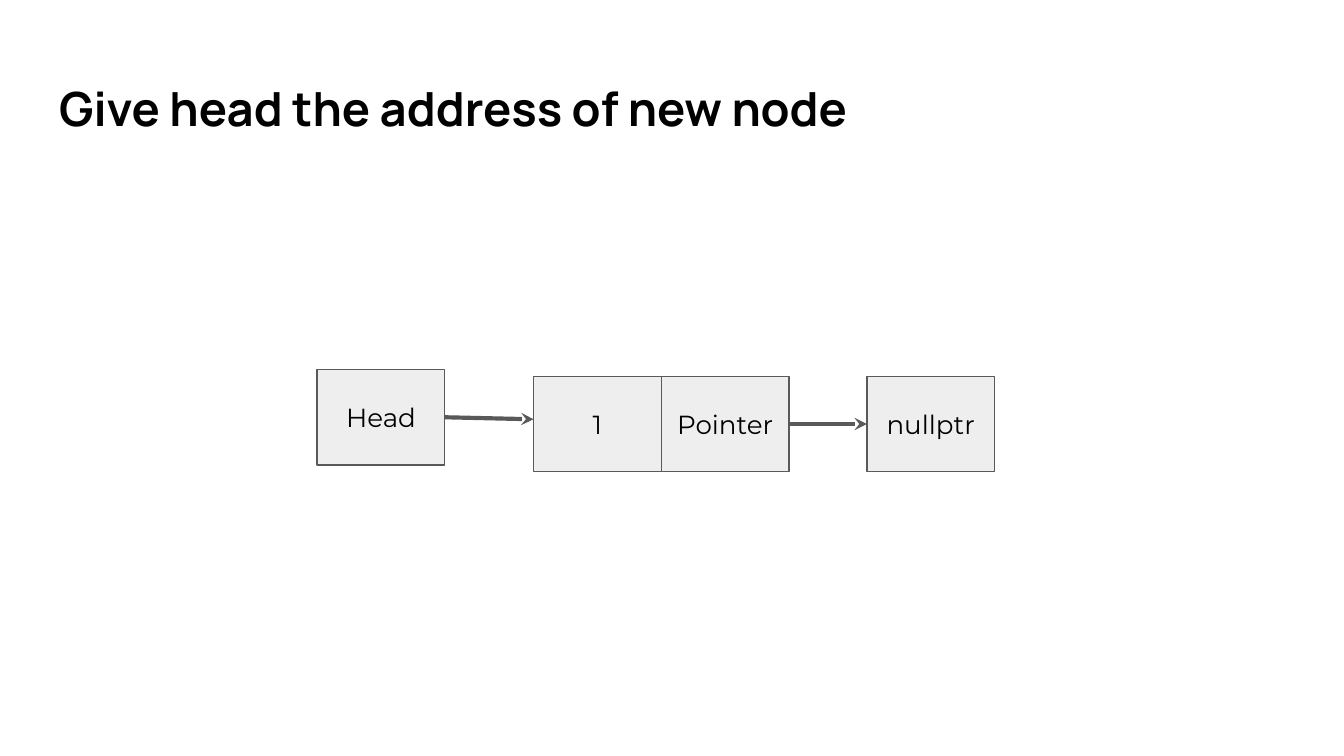
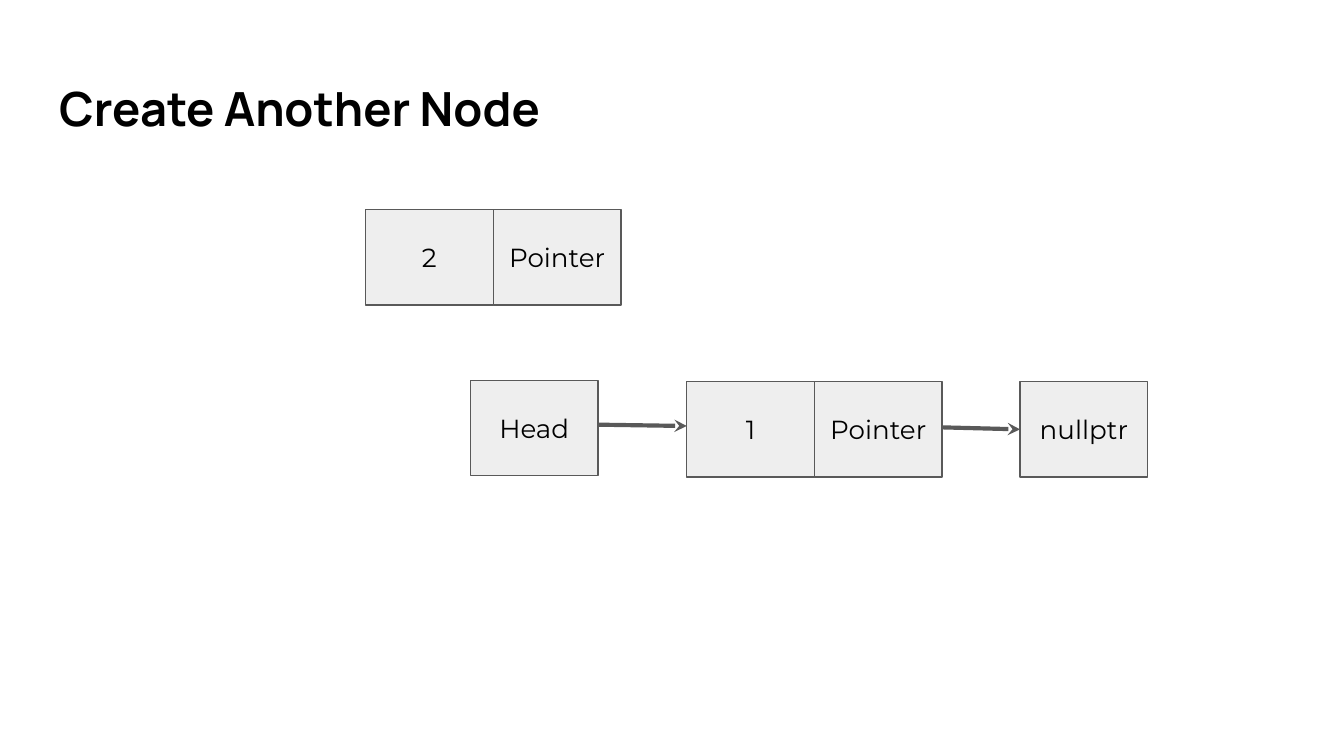
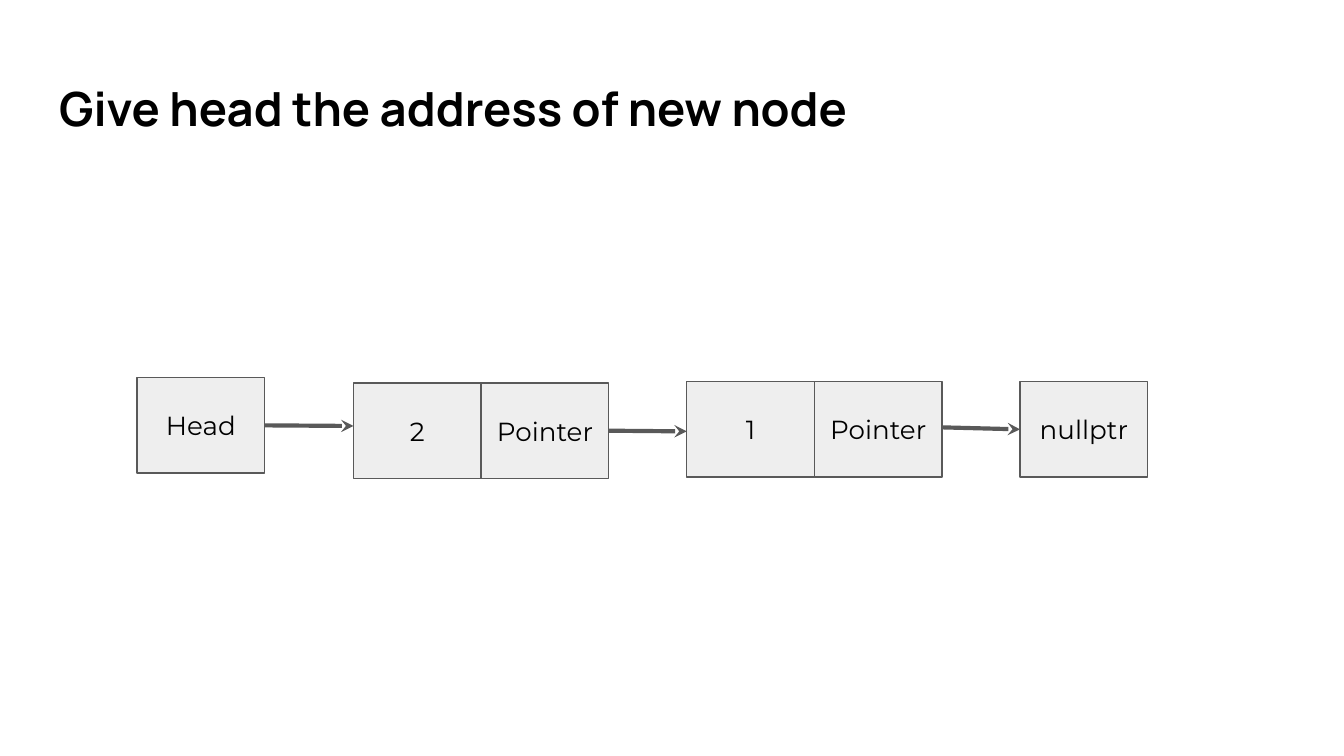
from pptx import Presentation
from pptx.dml.color import RGBColor
from pptx.enum.shapes import MSO_CONNECTOR, MSO_SHAPE
from pptx.enum.text import MSO_ANCHOR, MSO_AUTO_SIZE, PP_ALIGN
from pptx.oxml.ns import qn
from pptx.util import Inches, Pt
from lxml import etree

RECTANGLE = MSO_SHAPE.RECTANGLE
STRAIGHT = MSO_CONNECTOR.STRAIGHT
TOP, MIDDLE = MSO_ANCHOR.TOP, MSO_ANCHOR.MIDDLE
LEFT, CENTER = PP_ALIGN.LEFT, PP_ALIGN.CENTER
NO_AUTOFIT = MSO_AUTO_SIZE.NONE
TITLE_ONLY = 5
LEFT_SIDE, RIGHT_SIDE = 1, 3

WHITE = RGBColor(0xFF, 0xFF, 0xFF)
BLACK = RGBColor(0x00, 0x00, 0x00)
CELL_FILL = RGBColor(0xEE, 0xEE, 0xEE)
LINE_GRAY = RGBColor(0x59, 0x59, 0x59)
TITLE_FONT = "Manrope"
BODY_FONT = "Montserrat"

# Linked-list measures, in inches
CELL_WIDTH, CELL_HEIGHT = 0.95, 0.71
HEAD_PITCH = 1.61   # left of Head to left of the first node
NODE_PITCH = 2.48   # left of a node to left of what follows
ARROW_DROP = 0.01
JOIN_TOLERANCE = Inches(0.01)


def set_text(shape, text, font, size, align, anchor, bold=False):
    frame = shape.text_frame
    frame.word_wrap = True
    frame.auto_size = NO_AUTOFIT
    frame.vertical_anchor = anchor
    frame.margin_left = frame.margin_right = Inches(0.1)
    frame.margin_top = frame.margin_bottom = Inches(0.1)
    para = frame.paragraphs[0]
    para.alignment = align
    span = para.add_run()
    span.text = text
    span.font.name = font
    span.font.size = Pt(size)
    span.font.bold = bold
    span.font.color.rgb = BLACK


def add_page(deck, title_text):
    page = deck.slides.add_slide(deck.slide_layouts[TITLE_ONLY])
    page.background.fill.solid()
    page.background.fill.fore_color.rgb = WHITE
    title = page.shapes.title
    title.left, title.top = Inches(0.34), Inches(0.49)
    title.width, title.height = Inches(9.32), Inches(0.63)
    set_text(title, title_text, TITLE_FONT, 25.2, LEFT, TOP, bold=True)
    return page


def add_cell(page, left, top, text):
    box = page.shapes.add_shape(RECTANGLE, Inches(left), Inches(top),
                                Inches(CELL_WIDTH), Inches(CELL_HEIGHT))
    box.shadow.inherit = False
    box.fill.solid()
    box.fill.fore_color.rgb = CELL_FILL
    box.line.color.rgb = LINE_GRAY
    box.line.width = Pt(0.75)
    set_text(box, text, BODY_FONT, 14, CENTER, MIDDLE)
    return box


def add_node(page, left, top, value):
    """Draw a value cell and its pointer cell side by side."""
    return (add_cell(page, left, top, value),
            add_cell(page, left + CELL_WIDTH, top, "Pointer"))


def is_middle(box, height):
    return abs(box.top + box.height // 2 - height) <= JOIN_TOLERANCE


def add_arrow(page, source, target, start_height):
    """Link two cells, joining each end that meets the middle of a side."""
    start, end = Inches(start_height), Inches(start_height + ARROW_DROP)
    arrow = page.shapes.add_connector(
        STRAIGHT, source.left + source.width, start, target.left, end)
    if is_middle(source, start):
        arrow.begin_connect(source, RIGHT_SIDE)
    if is_middle(target, end):
        arrow.end_connect(target, LEFT_SIDE)
    arrow.line.color.rgb = LINE_GRAY
    arrow.line.width = Pt(2.25)
    line = arrow.line._get_or_add_ln()
    etree.SubElement(line, qn("a:tailEnd"), type="stealth")
    etree.SubElement(arrow._element.spPr, qn("a:effectLst"))


def add_linked_list(page, left, head_top, nodes, arrow_heights):
    """Draw Head, the (value, top) nodes, nullptr and the arrows between."""
    source = add_cell(page, left, head_top, "Head")
    links = []
    left += HEAD_PITCH
    for value, top in nodes:
        value_cell, pointer_cell = add_node(page, left, top, value)
        links.append((source, value_cell))
        source = pointer_cell
        left += NODE_PITCH
    links.append((source, add_cell(page, left, top, "nullptr")))
    for (start, end), height in zip(links, arrow_heights):
        add_arrow(page, start, end, height)


def main():
    deck = Presentation()
    deck.slide_width = Inches(10)
    deck.slide_height = deck.slide_width * 9 // 16

    # One node in the list
    page = add_page(deck, "Give head the address of new node")
    add_linked_list(page, 2.36, 2.75, [("1", 2.8)], [3.11, 3.15])

    # A second node, not linked yet
    page = add_page(deck, "Create Another Node")
    add_linked_list(page, 3.5, 2.83, [("1", 2.84)], [3.16, 3.18])
    add_node(page, 2.72, 1.56, "2")

    # The second node at the front of the list
    page = add_page(deck, "Give head the address of new node")
    add_linked_list(page, 1.02, 2.81, [("2", 2.85), ("1", 2.84)],
                    [3.16, 3.2, 3.18])

    deck.save("out.pptx")


if __name__ == "__main__":
    main()
